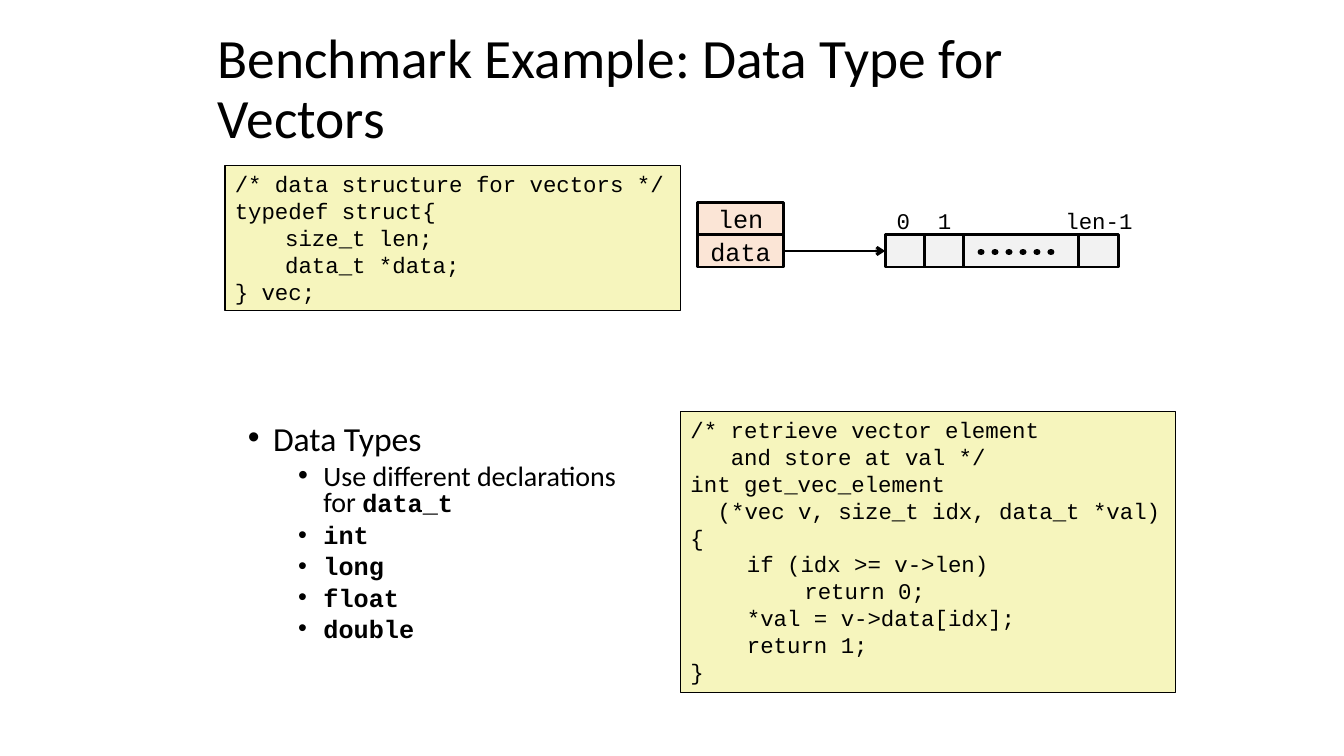
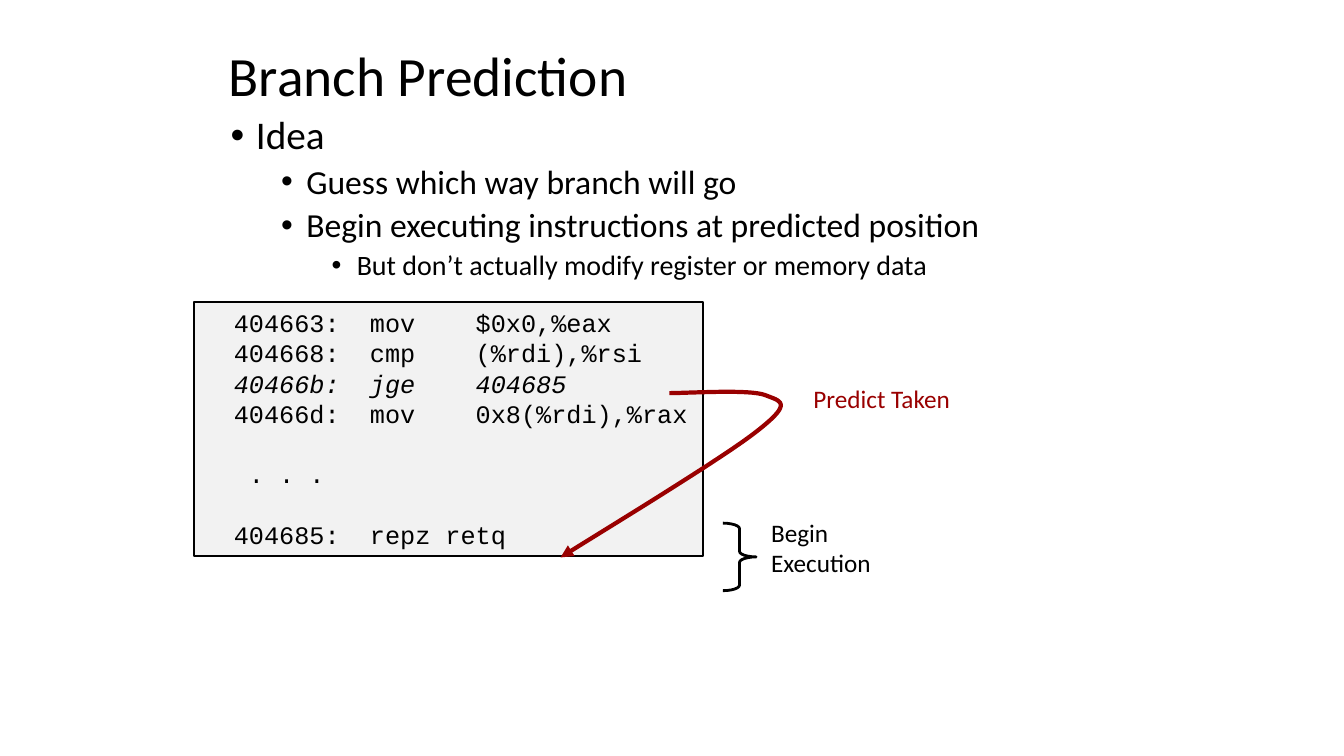
from lxml.etree import SubElement
from pptx import Presentation
from pptx.dml.color import RGBColor
from pptx.enum.dml import MSO_LINE
from pptx.enum.shapes import MSO_CONNECTOR, MSO_SHAPE
from pptx.enum.text import MSO_ANCHOR, MSO_AUTO_SIZE, PP_ALIGN
from pptx.oxml.ns import qn
from pptx.util import Inches, Pt

BLACK, RED = "000000", "990000"
CREAM, GREY, PEACH = "F6F5BD", "F2F2F2", "FBE5D6"
SANS, MONO = "Calibri", "Courier New"


def tint(code):
    return RGBColor.from_string(code)


def place(*box):
    return [Inches(n) for n in box]


def curve(start, parts, steps=16):
    points = [start]
    for b, c, d in parts:
        a = points[-1]
        for k in range(1, steps + 1):
            t = k / steps
            u = 1 - t
            points.append(tuple(
                u**3 * p + 3 * u * u * t * q + 3 * u * t * t * r + t**3 * s
                for p, q, r, s in zip(a, b, c, d)))
    return points


class Deck:
    """Holds the shared style and the slide being drawn."""

    def __init__(self):
        self.file = Presentation()
        self.file.slide_width, self.file.slide_height = place(13.33, 7.5)

    def start(self, text, box):
        self.slide = self.file.slides.add_slide(self.file.slide_layouts[5])
        self.shapes = self.slide.shapes
        title = self.shapes.title
        title.left, title.top, title.width, title.height = place(*box)
        frame = title.text_frame
        frame.text = text
        frame.word_wrap = True
        frame.auto_size = MSO_AUTO_SIZE.NONE
        frame.vertical_anchor = MSO_ANCHOR.MIDDLE
        line = frame.paragraphs[0]
        line.alignment = PP_ALIGN.LEFT
        line.line_spacing = 0.9
        self.style(line.runs, 39.6)

    def style(self, runs, size, face=SANS, color=BLACK):
        for run in runs:
            run.font.size = Pt(size)
            run.font.name = face
            run.font.color.rgb = tint(color)

    def stroke(self, shape, color, width):
        shape.line.color.rgb = tint(color)
        shape.line.width = Pt(width)

    def tip(self, shape, end, kind):
        SubElement(shape.line._get_or_add_ln(), qn(f"a:{end}End"), type=kind)

    def shape(self, box, fill=None, width=2, kind=MSO_SHAPE.RECTANGLE):
        shape = self.shapes.add_shape(kind, *place(*box))
        shape.shadow.inherit = False
        if fill:
            shape.fill.solid()
            shape.fill.fore_color.rgb = tint(fill)
        else:
            shape.fill.background()
        self.stroke(shape, BLACK, width)
        return shape

    def letter(self, frame, text, size, face, color=BLACK,
               align=PP_ALIGN.LEFT):
        frame.text = text
        for line in frame.paragraphs:
            line.alignment = align
            self.style(line.runs, size, face, color)

    def field(self, box, text):
        frame = self.shape(box, PEACH).text_frame
        frame.word_wrap = False
        frame.vertical_anchor = MSO_ANCHOR.MIDDLE
        self.letter(frame, text, 18, MONO, align=PP_ALIGN.CENTER)

    def label(self, box, text, size=18, face=SANS, color=BLACK,
              align=PP_ALIGN.LEFT):
        frame = self.shapes.add_textbox(*place(*box)).text_frame
        frame.word_wrap = False
        self.letter(frame, text, size, face, color, align)

    def code(self, box, rows, size, fill, width, stops=()):
        frame = self.shape(box, fill, width).text_frame
        frame.word_wrap = True
        frame.margin_right = 0
        frame.vertical_anchor = MSO_ANCHOR.TOP
        self.letter(frame, "\n".join(text for _, text in rows), size, MONO)
        for line, (inset, _) in zip(frame.paragraphs, rows):
            line.line_spacing = Pt(size * 1.2)
            props = line._p.get_or_add_pPr()
            props.set("marL", str(Inches(inset)))
            if stops:
                tabs = SubElement(props, qn("a:tabLst"))
                for stop in stops:
                    SubElement(tabs, qn("a:tab"), pos=str(Inches(stop)), algn="l")
        return frame.paragraphs

    def list(self, box, rows, sizes, space):
        frame = self.shapes.add_textbox(*place(*box)).text_frame
        frame.word_wrap = True
        frame.text = "\n".join(text for _, text, _ in rows)
        for line, (level, _, code) in zip(frame.paragraphs, rows):
            self.style(line.runs, sizes[level])
            if code:
                run = line.add_run()
                run.text = code
                run.font.bold = True
                self.style([run], 18, MONO)
            line.level = level
            line.line_spacing = space
            line.space_before = Pt(5 if level else 10)
            props = line._p.get_or_add_pPr()
            props.set("marL", str(Inches(0.25 + 0.5 * level)))
            props.set("indent", str(Inches(-0.25)))
            SubElement(props, qn("a:buFont"), typeface="Arial")
            SubElement(props, qn("a:buChar"), char="•")

    def line(self, start, end, width=2):
        line = self.shapes.add_connector(
            MSO_CONNECTOR.STRAIGHT, *place(*start, *end))
        self.stroke(line, BLACK, width)
        SubElement(line._element.spPr, qn("a:effectLst"))
        return line

    def trail(self, points, color, width):
        first, *rest = [place(*point) for point in points]
        pen = self.shapes.build_freeform(*first)
        pen.add_line_segments(rest, close=False)
        shape = pen.convert_to_shape()
        shape.shadow.inherit = False
        shape.fill.background()
        self.stroke(shape, color, width)
        return shape


def vectors(deck):
    deck.start("Benchmark Example: Data Type for Vectors",
               (2.06, 0.48, 9.44, 0.83))
    deck.code((2.23, 1.64, 4.52, 1.44), [
        (0, "/* data structure for vectors */"),
        (0, "typedef struct{"),
        (0.5, "size_t len;"),
        (0.5, "data_t *data;"),
        (0, "} vec;"),
    ], 16, CREAM, 1)
    deck.code((6.75, 4.08, 4.91, 2.79), [
        (0, "/* retrieve vector element"),
        (0.4, "and store at val */"),
        (0, "int get_vec_element"),
        (0.27, "(*vec v, size_t idx, data_t *val)"),
        (0, "{"),
        (0.56, "if (idx >= v->len)"),
        (1.13, "return 0;"),
        (0.56, "*val = v->data[idx];"),
        (0.56, "return 1;"),
        (0, "}"),
    ], 16, CREAM, 1)

    top, high = 2.33, 0.32
    for row, name in enumerate(("len", "data")):
        deck.field((6.92, top + (row - 1) * high, 0.85, high), name)
    left = 8.78
    for wide in (0.39, 0.39, 1.14, 0.39):
        deck.shape((left, top, wide, high), GREY)
        left += wide
    for left, wide, name in ((8.79, 0.34, "0"), (9.2, 0.34, "1"),
                             (10.46, 0.88, "len-1")):
        deck.label((left, 2.01, wide, 0.37), name, 16, MONO,
                   align=PP_ALIGN.CENTER)
    deck.tip(deck.line((7.77, 2.49), (8.78, 2.49)), "tail", "arrow")
    dots = deck.line((9.73, 2.5), (10.53, 2.5), 5)
    dots.line.dash_style = MSO_LINE.ROUND_DOT
    dots.line._get_or_add_ln().set("cap", "rnd")

    types = [(1, "", name) for name in ("int", "long", "float", "double")]
    deck.list((2.36, 4.17, 4.23, 2.43), [
        (0, "Data Types", ""),
        (1, "Use different declarations for ", "data_t"),
        *types,
    ], (24, 20), 0.8)


def branch(deck):
    deck.start("Branch Prediction", (2.17, 0.46, 6.16, 0.63))
    deck.list((2.19, 1.1, 9.09, 2.24), [
        (0, "Idea", ""),
        (1, "Guess which way branch will go", ""),
        (1, "Begin executing instructions at predicted position", ""),
        (2, "But don’t actually modify register or memory data", ""),
    ], (28, 24, 20), 0.9)
    deck.label((7.97, 3.75, 1.57, 0.4), "Predict Taken", color=RED)
    brace = deck.shape((7.17, 5.19, 0.33, 0.67), kind=MSO_SHAPE.RIGHT_BRACE)
    brace.adjustments[0] = 0.167
    deck.label((7.55, 5.08, 1.2, 0.71), "Begin\nExecution")
    rows = deck.code((1.92, 3, 5.05, 2.52), [
        (0, "\t404663:\tmov\t$0x0,%eax"),
        (0, "\t404668:\tcmp\t(%rdi),%rsi"),
        (0, "\t40466b:\tjge\t404685"),
        (0, "\t40466d:\tmov\t0x8(%rdi),%rax"),
        (0.45, ". . ."),
        (0, "\t404685:\trepz retq"),
    ], 18, GREY, 1.5, (0.3, 1.65, 2.7))
    for run in rows[2].runs:
        run.font.italic = True
    for row in rows[4:]:
        row.space_before = Pt(21.6)
    path = curve((5.56, 5.53), [
        ((5.89, 5.32), (7.2, 4.53), (7.53, 4.26)),
        ((7.87, 3.99), (7.74, 3.98), (7.59, 3.92)),
        ((7.44, 3.86), (6.83, 3.9), (6.64, 3.9)),
    ])
    deck.tip(deck.trail(path, RED, 3), "head", "triangle")


def main():
    deck = Deck()
    vectors(deck)
    branch(deck)
    deck.file.save("out.pptx")


if __name__ == "__main__":
    main()
